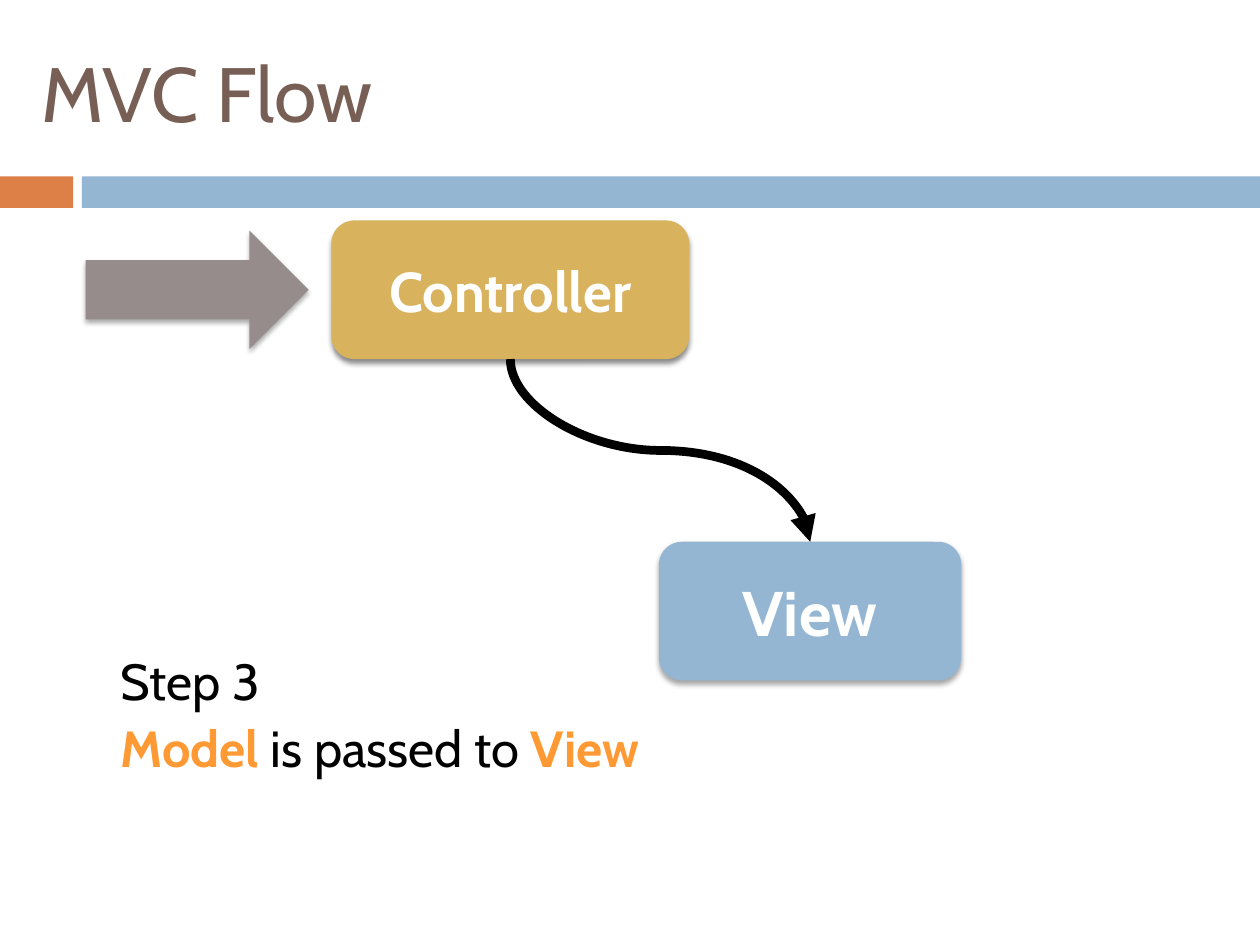
from lxml import etree
from pptx import Presentation
from pptx.dml.color import RGBColor
from pptx.enum.shapes import MSO_CONNECTOR, MSO_SHAPE
from pptx.enum.text import MSO_ANCHOR, PP_ALIGN
from pptx.oxml.ns import qn
from pptx.util import Inches, Pt

RECTANGLE = MSO_SHAPE.RECTANGLE
ROUNDED = MSO_SHAPE.ROUNDED_RECTANGLE
RIGHT_ARROW = MSO_SHAPE.RIGHT_ARROW
CURVE = MSO_CONNECTOR.CURVE
MIDDLE = MSO_ANCHOR.MIDDLE
CENTER = PP_ALIGN.CENTER
LEFT = PP_ALIGN.LEFT

THEME = {
    "font": "Cabin",
    "title": "775F55",
    "orange": "DD8047",
    "blue": "94B6D2",
    "gold": "D8B25C",
    "gray": "968C8C",
    "black": "000000",
    "white": "FFFFFF",
    "highlight": "FF9933",
    "title_size": 44,
    "body_size": 29,
}

TITLE = ("MVC Flow", (0.23, 0.39, 8.55, 0.67))
BANDS = [("orange", (0, 1.4, 0.58, 0.25)), ("blue", (0.65, 1.4, 9.35, 0.25))]
REQUEST_ARROW = (0.68, 1.83, 1.77, 0.94)
CONTROLLER = ("Controller", "gold", 32, (2.63, 1.75, 2.84, 1.1), (45, 2.4))
VIEW = ("View", "blue", 36, (5.23, 4.3, 2.4, 1.1), (35, 2))
STEP_BOX = (0.86, 5.16, 8.14, 1.14)
STEP_LINES = [
    [("Step 3", False)],
    [("Model", True), (" is passed to ", False), ("View", True)],
]


def color(name):
    return RGBColor.from_string(THEME[name])


def style_font(font, size, color_name, bold=False):
    font.name = THEME["font"]
    font.size = Pt(size)
    font.bold = bold
    font.color.rgb = color(color_name)


def add_block(slide, kind, box, fill, shadow=None):
    shape = slide.shapes.add_shape(kind, *map(Inches, box))
    shape.fill.solid()
    shape.fill.fore_color.rgb = color(fill)
    shape.line.fill.background()
    shape.shadow.inherit = False
    if shadow:
        opacity, distance = shadow
        effects = shape._element.spPr.find(qn("a:effectLst"))
        outer = etree.SubElement(
            effects, qn("a:outerShdw"), blurRad=str(Pt(3)), dist=str(Pt(distance)),
            dir="5400000", algn="ctr", rotWithShape="0")
        shade = etree.SubElement(outer, qn("a:srgbClr"), val=THEME["black"])
        etree.SubElement(shade, qn("a:alpha"), val=str(opacity * 1000))
    return shape


def add_node(slide, label, fill, size, box, shadow):
    shape = add_block(slide, ROUNDED, box, fill, shadow)
    shape.text_frame.vertical_anchor = MIDDLE
    paragraph = shape.text_frame.paragraphs[0]
    paragraph.text = label
    paragraph.alignment = CENTER
    style_font(paragraph.font, size, "white", True)
    return shape


def add_flow(slide, source, target):
    start_x, start_y = source.left + source.width // 2, source.top + source.height
    end_x, end_y = target.left + target.width // 2, target.top
    center_x, center_y = (start_x + end_x) // 2, (start_y + end_y) // 2
    half_width, half_height = (end_y - start_y) // 2, (end_x - start_x) // 2
    connector = slide.shapes.add_connector(
        CURVE, center_x + half_width, center_y - half_height,
        center_x - half_width, center_y + half_height)
    connector.line.color.rgb = color("black")
    connector.line.width = Pt(5)
    properties = connector._element.spPr
    properties.find(qn("a:xfrm")).set("rot", str(270 * 60000))
    etree.SubElement(properties.find(qn("a:ln")), qn("a:tailEnd"), type="triangle")
    etree.SubElement(properties, qn("a:effectLst"))


def add_title(slide):
    text, box = TITLE
    title = slide.shapes.title
    title.left, title.top, title.width, title.height = map(Inches, box)
    title.text_frame.vertical_anchor = MIDDLE
    paragraph = title.text_frame.paragraphs[0]
    paragraph.text = text
    paragraph.alignment = LEFT
    style_font(paragraph.font, THEME["title_size"], "title")


def add_step(slide):
    frame = slide.shapes.add_textbox(*map(Inches, STEP_BOX)).text_frame
    frame.word_wrap = True
    for index, line in enumerate(STEP_LINES):
        paragraph = frame.add_paragraph() if index else frame.paragraphs[0]
        paragraph.line_spacing = 0.9
        paragraph.space_before = Pt(7 if index else 0)
        for text, highlighted in line:
            run = paragraph.add_run()
            run.text = text
            style_font(run.font, THEME["body_size"],
                       "highlight" if highlighted else "black", highlighted)


def main():
    presentation = Presentation()
    presentation.slide_width, presentation.slide_height = Inches(10), Inches(7.5)
    slide = presentation.slides.add_slide(presentation.slide_layouts[5])
    for fill, box in BANDS:
        add_block(slide, RECTANGLE, box, fill)
    add_title(slide)
    add_block(slide, RIGHT_ARROW, REQUEST_ARROW, "gray", (35, 2))
    controller = add_node(slide, *CONTROLLER)
    view = add_node(slide, *VIEW)
    add_step(slide)
    add_flow(slide, controller, view)
    presentation.save("out.pptx")


if __name__ == "__main__":
    main()
